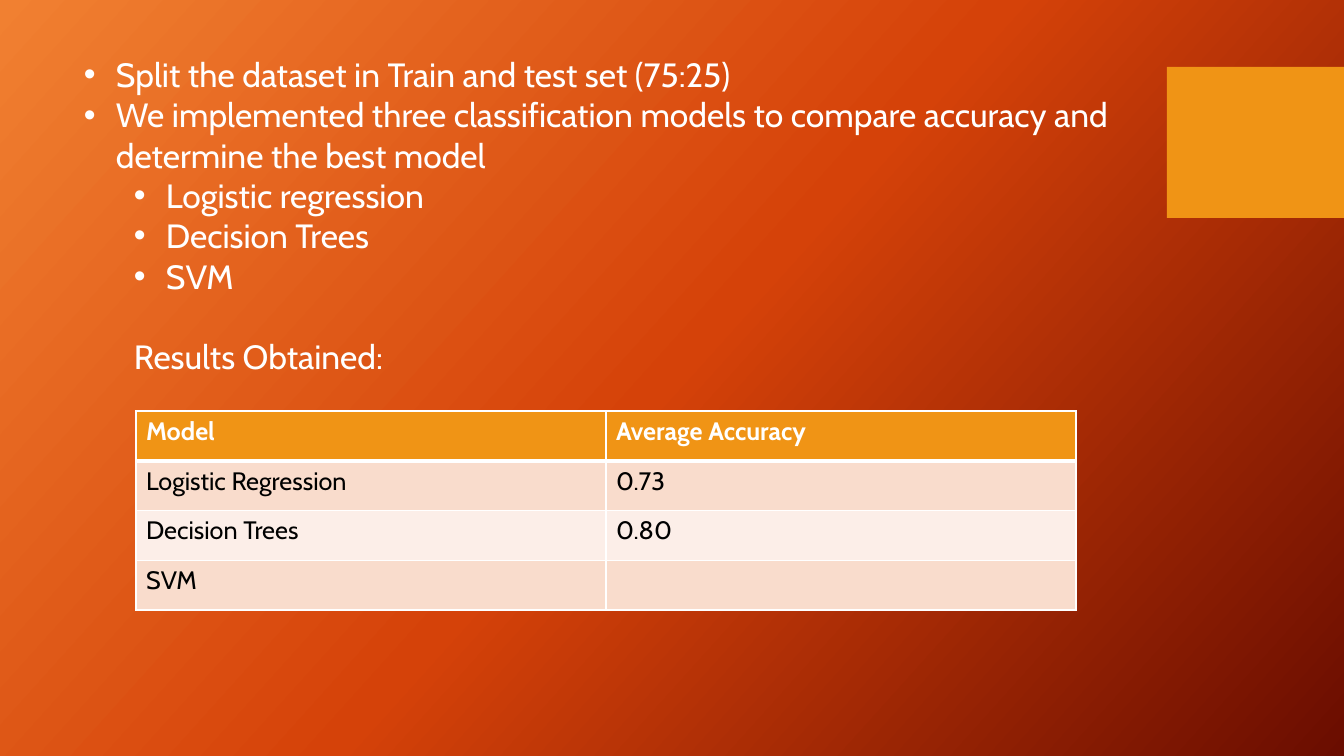
from copy import deepcopy
from dataclasses import dataclass

from lxml import etree
from pptx import Presentation
from pptx import util as u
from pptx.dml.color import RGBColor
from pptx.enum import shapes
from pptx.oxml.ns import qn

PIXEL = u.Inches(1) / 100.8


@dataclass(frozen=True)
class Theme:
    font: str = "Cabin"
    body_size: int = 24
    table_size: int = 18
    white: str = "FFFFFF"
    black: str = "000000"
    accent: str = "F09415"
    bands: tuple = ("F9DCCC", "FCEEE8")
    gradient: tuple = ((0, "F18031"), (0.5, "D54209"), (1, "6A0D00"))
    gradient_angle: int = 42


THEME = Theme()

# Text, indent level, bulleted
POINTS = [
    ("Split the dataset in Train and test set (75:25)", 0, True),
    ("We implemented three classification models to compare accuracy and "
     "determine the best model", 0, True),
    ("Logistic regression", 1, True),
    ("Decision Trees", 1, True),
    ("SVM", 1, True),
    ("Results Obtained:", 1, False),
]

RESULTS = [
    ("Model", "Average Accuracy"),
    ("Logistic Regression", "0.73"),
    ("Decision Trees", "0.80"),
    ("SVM", ""),
]


def px(value):
    return u.Emu(round(value * PIXEL))


def box(left, top, width, height):
    return px(left), px(top), px(width), px(height)


def color(name):
    return RGBColor.from_string(name)


def format_runs(paragraph, size, font_color, bold=False):
    for run in paragraph.runs:
        run.font.name = THEME.font
        run.font.size = u.Pt(size)
        run.font.bold = bold
        run.font.color.rgb = color(font_color)


def paint_background(slide):
    fill = slide.background.fill
    fill.gradient()
    fill.gradient_angle = 360 - THEME.gradient_angle
    stop_list = slide.element.find(".//" + qn("a:gsLst"))
    stop_list.append(deepcopy(stop_list[-1]))
    for stop, (position, stop_color) in zip(fill.gradient_stops, THEME.gradient):
        stop.color.rgb = color(stop_color)
        stop.position = position


def add_block(slide, bounds, fill_color):
    shape = slide.shapes.add_shape(shapes.MSO_SHAPE.RECTANGLE, *bounds)
    shape.shadow.inherit = False
    shape.fill.solid()
    shape.fill.fore_color.rgb = color(fill_color)
    shape.line.fill.background()


def set_indent(paragraph, level, bulleted):
    hanging = px(32) if bulleted else 0
    properties = paragraph._p.get_or_add_pPr()
    properties.set("marL", str(px(50 * level) + hanging))
    properties.set("indent", str(-hanging))
    if bulleted:
        etree.SubElement(properties, qn("a:buFont"), typeface="Arial")
        etree.SubElement(properties, qn("a:buChar"), char="•")


def add_points(slide, bounds, points):
    frame = slide.shapes.add_textbox(*bounds).text_frame
    frame.word_wrap = True
    frame.text = "\n".join(words for words, _, _ in points)
    for paragraph, (_, level, bulleted) in zip(frame.paragraphs, points):
        paragraph.level = level
        if not bulleted:
            paragraph.space_before = u.Pt(1.2 * THEME.body_size)
        set_indent(paragraph, level, bulleted)
        format_runs(paragraph, THEME.body_size, THEME.white)


def set_borders(cell, widths):
    properties = cell._tc.get_or_add_tcPr()
    for side, width in widths.items():
        line = etree.SubElement(properties, qn("a:ln" + side), w=str(u.Pt(width)))
        fill = etree.SubElement(line, qn("a:solidFill"))
        etree.SubElement(fill, qn("a:srgbClr"), val=THEME.white)


def style_cell(cell, row):
    header = row == 0
    # Borders come before the fill in the cell properties
    set_borders(cell, {"L": 1, "R": 1, "T": 3 if row == 1 else 1,
                       "B": 3 if header else 1})
    cell.fill.solid()
    cell.fill.fore_color.rgb = color(
        THEME.accent if header else THEME.bands[(row - 1) % 2])
    format_runs(cell.text_frame.paragraphs[0], THEME.table_size,
                THEME.white if header else THEME.black, header)


def add_results(slide, bounds, rows):
    table = slide.shapes.add_table(len(rows), len(rows[0]), *bounds).table
    for row, values in enumerate(rows):
        for column, value in enumerate(values):
            cell = table.cell(row, column)
            cell.text = value
            style_cell(cell, row)


def main():
    presentation = Presentation()
    presentation.slide_width = px(1344)
    presentation.slide_height = px(756)
    slide = presentation.slides.add_slide(presentation.slide_layouts[6])

    # Backdrop
    paint_background(slide)
    add_block(slide, box(1167, 67, 177, 151), THEME.accent)

    # Method and accuracy results
    add_points(slide, box(74, 49, 1064, 559), POINTS)
    add_results(slide, box(136, 411, 940, 199), RESULTS)

    presentation.save("out.pptx")


main()
